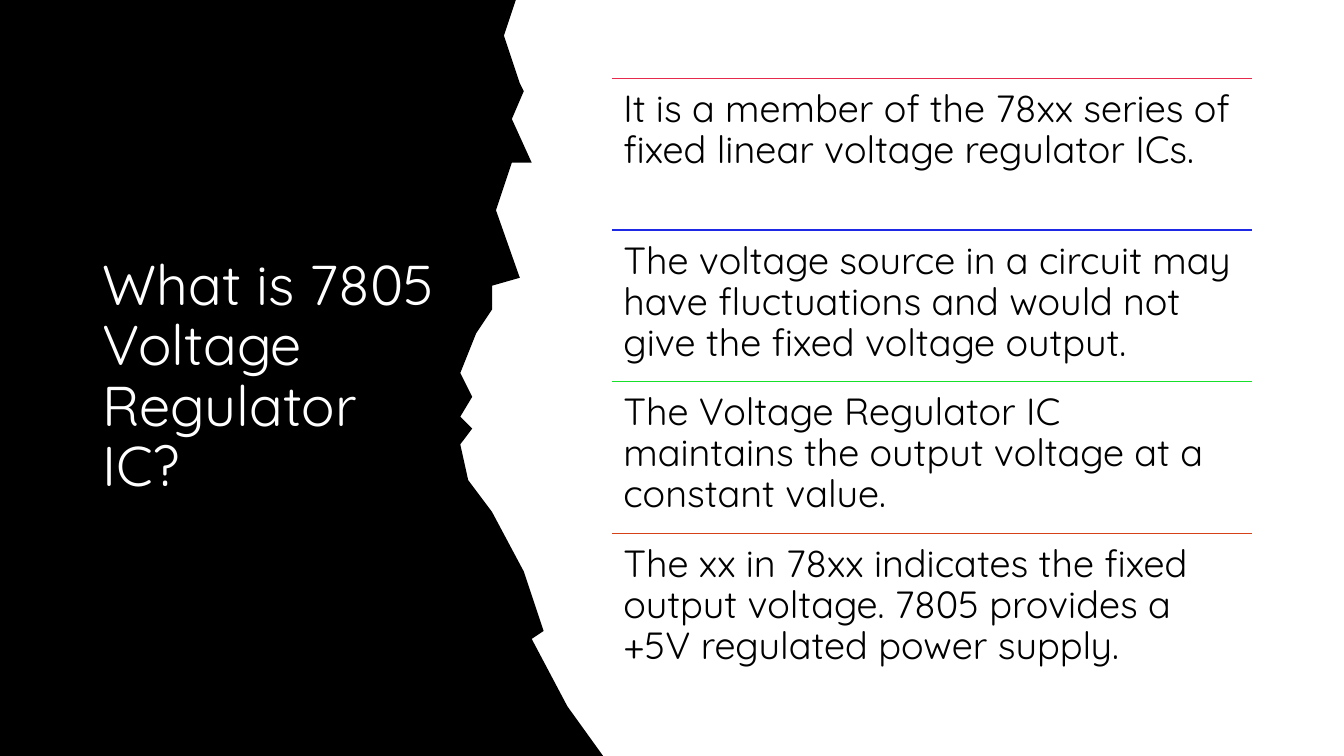
import pptx
import pptx.dml.color
import pptx.enum.shapes
import pptx.enum.text
import pptx.oxml
import pptx.util
from dataclasses import dataclass

Cm, Pt = pptx.util.Cm, pptx.util.Pt

HEADING = "What is 7805 Voltage Regulator IC?"
FACTS = [
    ("E7294E", "It is a member of the 78xx series of fixed linear voltage regulator ICs."),
    ("1E29E6", "The voltage source in a circuit may have fluctuations and would not "
               "give the fixed voltage output."),
    ("18E02A", "The Voltage Regulator IC maintains the output voltage at a constant value."),
    ("D54217", "The xx in 78xx indicates the fixed output voltage. 7805 provides a "
               "+5V regulated power supply."),
]
TORN_EDGE = [
    (13, 0), (12.7, 0.9), (13.1, 2.1), (13.2, 2.3), (12.9, 3), (13.4, 4.1),
    (12.9, 4.1), (12.8, 4.4), (12.5, 5.3), (13.1, 7), (12.4, 7.2), (12.4, 7.8),
    (12, 8.4), (11.6, 9.4), (11.9, 10), (11.6, 10.5), (11.9, 10.8), (11.6, 11.2),
    (11.8, 12.1), (12.4, 12.9), (13.2, 14.4), (13.7, 15.9), (13.4, 16.1),
    (14.3, 17.8), (15.2, 19.05),
]
SLIDE_WIDTH, SLIDE_HEIGHT = Cm(33.87), Cm(19.05)
HEADING_BOX = {"left": Cm(2.33), "top": Cm(1.98), "width": Cm(8.89), "height": Cm(15.09)}
FACTS_LEFT, FACTS_TOP, FACTS_WIDTH, FACT_PITCH = Cm(15.42), Cm(1.98), Cm(16.13), Cm(3.82)


@dataclass(frozen=True)
class Theme:
    paper: str = "FFFFFF"
    ink: str = "000000"
    font: str = "Quicksand"
    heading_size: int = 40
    fact_size: int = 27
    rule_width: int = 1


THEME = Theme()
FRAME = {"word_wrap": True, "auto_size": pptx.enum.text.MSO_AUTO_SIZE.NONE}
HEADING_FRAME = {**FRAME, "vertical_anchor": pptx.enum.text.MSO_ANCHOR.MIDDLE}
FACT_MARGINS = ("margin_left", "margin_right", "margin_top", "margin_bottom")
FACT_FRAME = {**FRAME, "vertical_anchor": pptx.enum.text.MSO_ANCHOR.TOP,
              **dict.fromkeys(FACT_MARGINS, Cm(0.29))}
PARAGRAPH = {"line_spacing": 0.9, "alignment": pptx.enum.text.PP_ALIGN.LEFT}


def rgb(value):
    return pptx.dml.color.RGBColor.from_string(value)


def apply(target, values):
    for name, value in values.items():
        setattr(target, name, value)


def write(holder, wording, frame_format, size, colour):
    frame = holder.text_frame
    apply(frame, frame_format)
    paragraph = frame.paragraphs[0]
    apply(paragraph, PARAGRAPH)
    run = paragraph.add_run()
    run.text = wording
    apply(run.font, {"name": THEME.font, "size": Pt(size)})
    run.font.color.rgb = rgb(colour)


def add_torn_panel(slide):
    builder = slide.shapes.build_freeform(0, 0)
    edge = [(Cm(x), Cm(y)) for x, y in TORN_EDGE]
    builder.add_line_segments(edge + [(0, SLIDE_HEIGHT)], close=True)
    panel = builder.convert_to_shape()
    panel.shadow.inherit = False
    panel.fill.solid()
    panel.fill.fore_color.rgb = rgb(THEME.ink)
    panel.line.fill.background()
    return panel


def add_heading(slide, panel):
    heading = slide.shapes.title
    apply(heading, HEADING_BOX)
    write(heading, HEADING, HEADING_FRAME, THEME.heading_size, THEME.paper)
    panel.element.addnext(heading.element)


def add_fact(slide, top, colour, wording):
    rule = slide.shapes.add_connector(pptx.enum.shapes.MSO_CONNECTOR.STRAIGHT,
                                      FACTS_LEFT, top, FACTS_LEFT + FACTS_WIDTH, top)
    rule.line.color.rgb = rgb(colour)
    rule.line.width = Pt(THEME.rule_width)
    rule.element.spPr.append(pptx.oxml.parse_xml(
        '<a:effectLst xmlns:a="http://schemas.openxmlformats.org/drawingml/2006/main"/>'))
    fact = slide.shapes.add_textbox(FACTS_LEFT, top, FACTS_WIDTH, FACT_PITCH)
    write(fact, wording, FACT_FRAME, THEME.fact_size, THEME.ink)


def main():
    """Build the voltage regulator slide and save it."""
    deck = pptx.Presentation()
    apply(deck, {"slide_width": SLIDE_WIDTH, "slide_height": SLIDE_HEIGHT})
    slide = deck.slides.add_slide(deck.slide_layouts.get_by_name("Title Only"))
    slide.background.fill.solid()
    slide.background.fill.fore_color.rgb = rgb(THEME.paper)
    add_heading(slide, add_torn_panel(slide))
    for row, (colour, wording) in enumerate(FACTS):
        add_fact(slide, FACTS_TOP + row * FACT_PITCH, colour, wording)
    deck.save("out.pptx")


if __name__ == "__main__":
    main()
